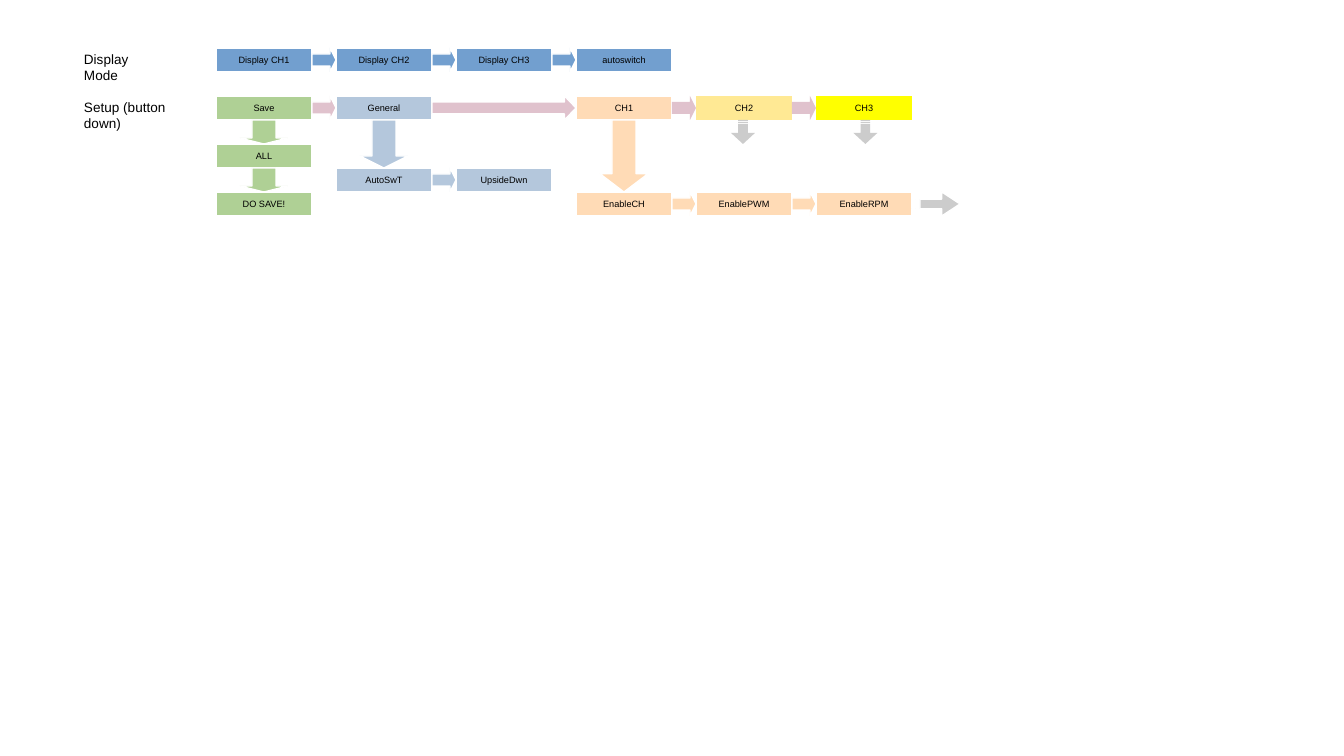
from pptx import Presentation
from pptx.dml.color import RGBColor as RGB
from pptx.enum.shapes import MSO_SHAPE as Shape
from pptx.enum.text import MSO_ANCHOR as Anchor, MSO_AUTO_SIZE as Fit, PP_ALIGN as Align
from pptx.util import Cm, Pt

HUES = {
    "blue": "729FCF", "green": "AFD095", "pink": "E0C2CD", "steel": "B4C7DC",
    "peach": "FFDBB6", "sand": "FFE994", "yellow": "FFFF00", "grey": "CCCCCC",
    "white": "FFFFFF", "black": "000000",
}
LEFT, STEP, WIDE, HIGH = 4.5, 2.5, 2, 0.5


class Chart:
    """Draws the menu flow on one slide in a shared style."""

    def __init__(self, slide, font="Arial"):
        self.shapes = slide.shapes
        self.font = font

    def paint(self, shape, hue, edge=True):
        shape.shadow.inherit = False
        shape.fill.solid()
        shape.fill.fore_color.rgb = RGB.from_string(HUES[hue])
        if edge:
            shape.line.color.rgb = RGB.from_string(HUES["white"])
            shape.line.width = Pt(0)
        else:
            shape.line.fill.background()

    def letter(self, frame, text, size, align):
        frame.text = text
        para = frame.paragraphs[0]
        para.alignment = align
        font = para.runs[0].font
        font.name, font.size = self.font, Pt(size)
        font.color.rgb = RGB.from_string(HUES["black"])

    def label(self, text, top, wide):
        box = self.shapes.add_textbox(Cm(1.5), Cm(top), Cm(wide), Cm(0.55))
        frame = box.text_frame
        frame.word_wrap = False
        frame.auto_size = Fit.SHAPE_TO_FIT_TEXT
        self.letter(frame, text, 8, Align.LEFT)

    def box(self, text, col, top, hue, edge=True):
        shape = self.shapes.add_shape(
            Shape.FLOWCHART_PROCESS, Cm(LEFT + col * STEP), Cm(top), Cm(WIDE), Cm(HIGH))
        self.paint(shape, hue, edge)
        shape.text_frame.word_wrap = True
        shape.text_frame.vertical_anchor = Anchor.MIDDLE
        self.letter(shape.text_frame, text, 5.4, Align.CENTER)

    def arrow(self, kind, left, top, wide, high, hue, edge, neck, head):
        shape = self.shapes.add_shape(kind, Cm(left), Cm(top), Cm(wide), Cm(high))
        shape.adjustments[0], shape.adjustments[1] = neck, head
        self.paint(shape, hue, edge)

    def right(self, col, top, hue, span=1, edge=True, neck=0.5, head=0.25):
        left = LEFT + col * STEP + WIDE
        self.arrow(Shape.RIGHT_ARROW, left, top, span * STEP - WIDE, HIGH,
                   hue, edge, neck, head)

    def down(self, col, top, high, hue, head=0.25):
        left = LEFT + col * STEP + 0.5
        self.arrow(Shape.DOWN_ARROW, left, top, 1, high, hue, True, 0.5, head)

    def striped(self, left, top, size, neck, down=False):
        def spot(along, cross):
            x, y = along * size, cross * HIGH
            x, y = (y, x) if down else (x, y)
            return round((left + x) * 1000), round((top + y) * 1000)

        def bar(start, end):
            return [(start, 0.3), (start, 0.7), (end, 0.7), (end, 0.3)]

        head = [(neck, 0), (1, 0.5), (neck, 1), (neck, 0.7),
                (4 / 24, 0.7), (4 / 24, 0.3), (neck, 0.3)]
        lines = [[spot(*point) for point in line]
                 for line in (head, bar(0, 1 / 24), bar(2 / 24, 3 / 24))]
        form = self.shapes.build_freeform(*lines[0][0], scale=Cm(1) / 1000)
        form.add_line_segments(lines[0][1:], close=True)
        for line in lines[1:]:
            form.move_to(*line[0])
            form.add_line_segments(line[1:], close=True)
        self.paint(form.convert_to_shape(), "grey", not down)


def main():
    deck = Presentation()
    deck.slide_width, deck.slide_height = Cm(28), Cm(15.75)
    flow = Chart(deck.slides.add_slide(deck.slide_layouts[6]))

    flow.label("Display Mode", 0.93, 2.2)
    for col, text in enumerate(["Display CH1", "Display CH2", "Display CH3", "autoswitch"]):
        flow.box(text, col, 1, "blue")
        if col:
            flow.right(col - 1, 1, "blue")

    flow.label("Setup (button down)", 1.93, 3.05)
    for text, col, hue, edge in [
        ("Save", 0, "green", True), ("General", 1, "steel", True),
        ("CH1", 3, "peach", True), ("CH2", 4, "sand", False), ("CH3", 5, "yellow", False),
    ]:
        flow.box(text, col, 2, hue, edge)
    flow.right(0, 2, "pink")
    flow.right(1, 2, "pink", span=2, neck=0.49, head=0.48)
    for col in (3, 4):
        flow.right(col, 2, "pink", edge=False)

    for top, text in [(3, "ALL"), (4, "DO SAVE!")]:
        flow.down(0, top - 0.5, 0.5, "green")
        flow.box(text, 0, top, "green")

    flow.down(1, 2.5, 1, "steel")
    flow.box("AutoSwT", 1, 3.5, "steel")
    flow.right(1, 3.5, "steel")
    flow.box("UpsideDwn", 2, 3.5, "steel")

    flow.down(3, 2.5, 1.5, "peach", head=0.38)
    for col, text in enumerate(["EnableCH", "EnablePWM", "EnableRPM"], 3):
        flow.box(text, col, 4, "peach")
        if col > 3:
            flow.right(col - 1, 4, "peach")
    flow.striped(19, 4, 1, 0.62)
    for left in (15.23, 17.78):
        flow.striped(left, 2.5, 0.5, 0.54, down=True)

    deck.save("out.pptx")


if __name__ == "__main__":
    main()
